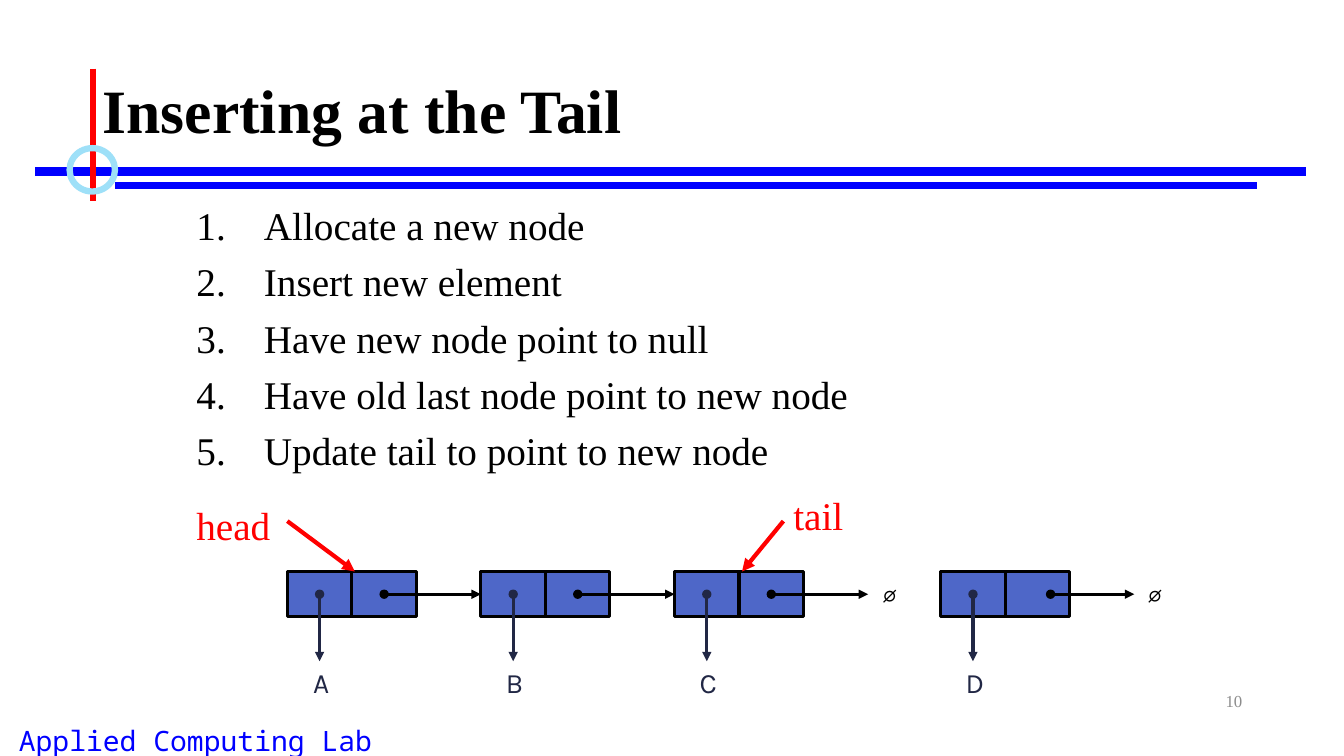
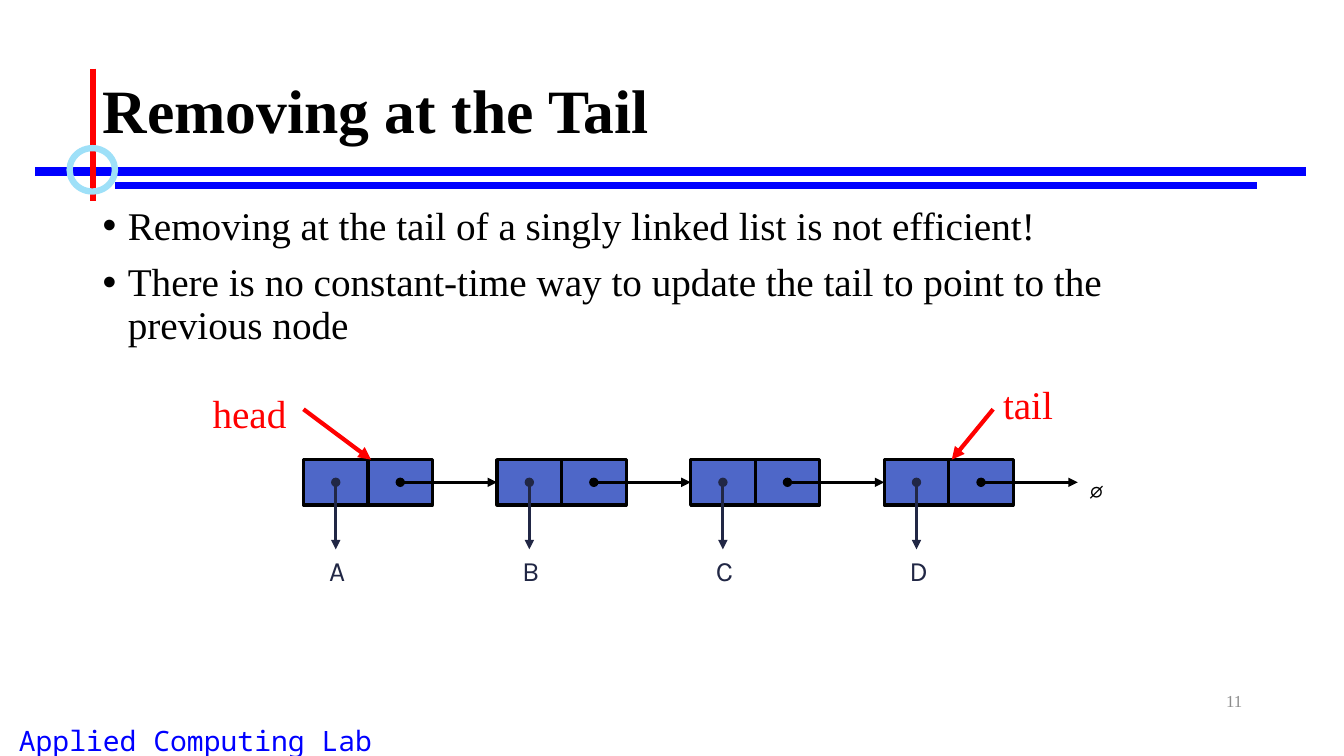
"""Builds two slides on inserting and removing at the tail of a linked list."""
from dataclasses import dataclass

import lxml.etree
import pptx
import pptx.dml.color
import pptx.enum.shapes
import pptx.enum.text
import pptx.oxml.ns
import pptx.util

Inches = pptx.util.Inches
Pt = pptx.util.Pt
Align = pptx.enum.text.PP_ALIGN
Anchor = pptx.enum.text.MSO_ANCHOR
Shape = pptx.enum.shapes.MSO_SHAPE
qn = pptx.oxml.ns.qn

BLACK, BLUE, RED, SKY, GREY = "000000", "0000FF", "FF0000", "9EE0F8", "8C8C8C"
CELL, INK = "4E67C8", "212745"
SERIF, SANS, MONO = "Times New Roman", "Karla", "Noto Sans Mono"
CELL_W, CELL_H = 0.64, 0.45
PITCH = 3 * CELL_W


@dataclass(frozen=True)
class Style:
    font: str
    size: float
    color: str
    bold: bool = False
    align: Align = Align.LEFT


@dataclass(frozen=True)
class Node:
    label: str
    left: float
    link_from: float = 1.5 * CELL_W
    joined: bool = False


@dataclass(frozen=True)
class Pointer:
    name: str
    node: Node
    text_dx: float
    text_dy: float
    text_w: float
    arrow_dx: float


@dataclass(frozen=True)
class Body:
    left: float
    width: float
    indent: float
    bullet: str
    attrs: dict[str, str]
    lines: list[str]


@dataclass(frozen=True)
class Page:
    number: str
    title: str
    body: Body
    top: float
    nodes: list[Node]
    pointers: list[Pointer]
    nulls: list[tuple[float, float]]


TITLE = Style(SERIF, 44, BLACK, bold=True)
BODY = Style(SERIF, 28, BLACK)
POINTER = Style(SERIF, 28, RED)
NUMBER = Style(SERIF, 12, GREY, align=Align.RIGHT)
FOOTER = Style(MONO, 20, BLUE, align=Align.CENTER)
LABEL = Style(SANS, 20, INK, align=Align.CENTER)
NULL = Style(SANS, 20, BLACK, align=Align.CENTER)


def rgb(color: str) -> pptx.dml.color.RGBColor:
    return pptx.dml.color.RGBColor.from_string(color)


def add_run(p, text: str, style: Style) -> None:
    p.alignment = style.align
    r = p.add_run()
    r.text = text
    r.font.name = style.font
    r.font.size = Pt(style.size)
    r.font.bold = style.bold
    r.font.color.rgb = rgb(style.color)


def add_box(slide, left: float, top: float, width: float, height: float,
            wrap: bool = True, anchor: Anchor = Anchor.TOP):
    sp = slide.shapes.add_textbox(Inches(left), Inches(top), Inches(width), Inches(height))
    tf = sp.text_frame
    tf.word_wrap = wrap
    tf.vertical_anchor = anchor
    return tf


def add_label(slide, text: str, style: Style, left: float, top: float, width: float,
              height: float, wrap: bool = False, anchor: Anchor = Anchor.TOP):
    tf = add_box(slide, left, top, width, height, wrap, anchor)
    p = tf.paragraphs[0]
    add_run(p, text, style)
    return p


def add_line(slide, start: tuple[float, float], end: tuple[float, float],
             color: str, width: float, head: str = "", tail: str = ""):
    cx = slide.shapes.add_connector(
        pptx.enum.shapes.MSO_CONNECTOR.STRAIGHT, *map(Inches, (*start, *end)))
    cx.line.color.rgb = rgb(color)
    cx.line.width = Pt(width)
    ln = cx.line._get_or_add_ln()
    for tag, kind in (("a:headEnd", head), ("a:tailEnd", tail)):
        if kind:
            lxml.etree.SubElement(ln, qn(tag)).set("type", kind)
    lxml.etree.SubElement(cx._element.spPr, qn("a:effectLst"))
    return cx


def add_shape(slide, kind: Shape, left: float, top: float, width: float, height: float,
              line: str, line_width: float, fill: str = ""):
    sp = slide.shapes.add_shape(kind, Inches(left), Inches(top), Inches(width), Inches(height))
    sp.shadow.inherit = False
    if fill:
        sp.fill.solid()
        sp.fill.fore_color.rgb = rgb(fill)
    else:
        sp.fill.background()
    sp.line.color.rgb = rgb(line)
    sp.line.width = Pt(line_width)
    return sp


def add_frame(slide, page: Page) -> None:
    add_label(slide, "Applied Computing Lab", FOOTER, 0, 7.13, 3.88, 0.43)
    add_line(slide, (0.35, 1.7), (12.95, 1.7), BLUE, 6)
    add_line(slide, (1.14, 1.84), (12.47, 1.84), BLUE, 4.5)
    add_line(slide, (0.92, 0.68), (0.92, 1.99), RED, 4.5)
    add_shape(slide, Shape.OVAL, 0.69, 1.47, 0.45, 0.43, SKY, 4.5)
    add_label(slide, page.number, NUMBER, 9.42, 6.75, 3, 0.4, True, Anchor.MIDDLE)
    p = add_label(slide, page.title, TITLE, 0.92, 0.4, 11.5, 1.45, True, Anchor.MIDDLE)
    p.line_spacing = 0.9


def add_body(slide, body: Body, height: float) -> None:
    tf = add_box(slide, body.left, 2, body.width, height)
    for i, text in enumerate(body.lines):
        p = tf.add_paragraph() if i else tf.paragraphs[0]
        pPr = p._p.get_or_add_pPr()
        pPr.set("marL", str(Inches(body.indent)))
        pPr.set("indent", str(-Inches(body.indent)))
        lxml.etree.SubElement(pPr, qn("a:buFont")).set(
            "typeface", "Arial" if body.bullet == "a:buChar" else SERIF)
        bullet = lxml.etree.SubElement(pPr, qn(body.bullet))
        for key, value in body.attrs.items():
            bullet.set(key, value)
        p.line_spacing = 0.9
        p.space_before = Pt(10 if i else 0)
        add_run(p, text, BODY)


def add_list(slide, page: Page) -> None:
    top, mid = page.top, page.top + CELL_H / 2
    cells = []
    for node in page.nodes:
        pair = [add_shape(slide, Shape.RECTANGLE, node.left + i * CELL_W, top,
                          CELL_W, CELL_H, BLACK, 2.25, CELL) for i in range(2)]
        cells.append(pair[0])
    for i, node in enumerate(page.nodes):
        center = node.left + CELL_W / 2
        link = add_line(slide, (node.left + node.link_from, mid), (node.left + PITCH, mid),
                        BLACK, 2.25, "oval", "triangle")
        if node.joined:
            link.end_connect(cells[i + 1], 1)
        add_label(slide, node.label, LABEL, center - 0.17, top + 0.88, 0.37, 0.43)
        add_line(slide, (center, mid), (center, top + 0.89), INK, 2.25, "oval", "triangle")
    for left, null_top in page.nulls:
        add_label(slide, "∅", NULL, left, null_top, 0.43, 0.43)
    for ptr in page.pointers:
        left = ptr.node.left
        add_label(slide, ptr.name, POINTER, left + ptr.text_dx, top + ptr.text_dy,
                  ptr.text_w, 0.57)
        add_line(slide, (left + ptr.arrow_dx, top - 0.5), (left + 0.67, top),
                 RED, 3, tail="triangle")


def chain(labels: str, left: float) -> list[Node]:
    return [Node(label, left + i * PITCH, joined=i < len(labels) - 1)
            for i, label in enumerate(labels)]


def head_and_tail(nodes: list[Node]) -> list[Pointer]:
    return [Pointer("head", nodes[0], -1, -0.75, 0.93, 0),
            Pointer("tail", nodes[-1], 1.08, -0.84, 0.7, 1.08)]


def main() -> None:
    prs = pptx.Presentation()
    prs.slide_width, prs.slide_height = Inches(13.33), Inches(7.5)
    abc, abcd = chain("ABC", 2.85), chain("ABCD", 3.01)
    steps = Body(1.85, 9, 0.67, "a:buAutoNum", {"type": "arabicPeriod"}, [
        "Allocate a new node",
        "Insert new element",
        "Have new node point to null",
        "Have old last node point to new node",
        "Update tail to point to new node",
    ])
    remarks = Body(0.92, 11.5, 0.25, "a:buChar", {"char": "•"}, [
        "Removing at the tail of a singly linked list is not efficient!",
        "There is no constant-time way to update the tail to point to the previous node",
    ])
    pages = [
        Page("10", "Inserting at the Tail", steps, 5.67, [*abc, Node("D", 9.33, 1.09)],
             head_and_tail(abc), [(8.61, 5.67), (11.24, 5.67)]),
        Page("11", "Removing at the Tail", remarks, 4.56, abcd,
             head_and_tail(abcd), [(10.66, 4.64)]),
    ]
    for page in pages:
        slide = prs.slides.add_slide(prs.slide_layouts[6])
        add_frame(slide, page)
        add_body(slide, page.body, page.top - 2.8 if page.top < 5 else 2.8)
        add_list(slide, page)
    prs.save("out.pptx")


if __name__ == "__main__":
    main()
